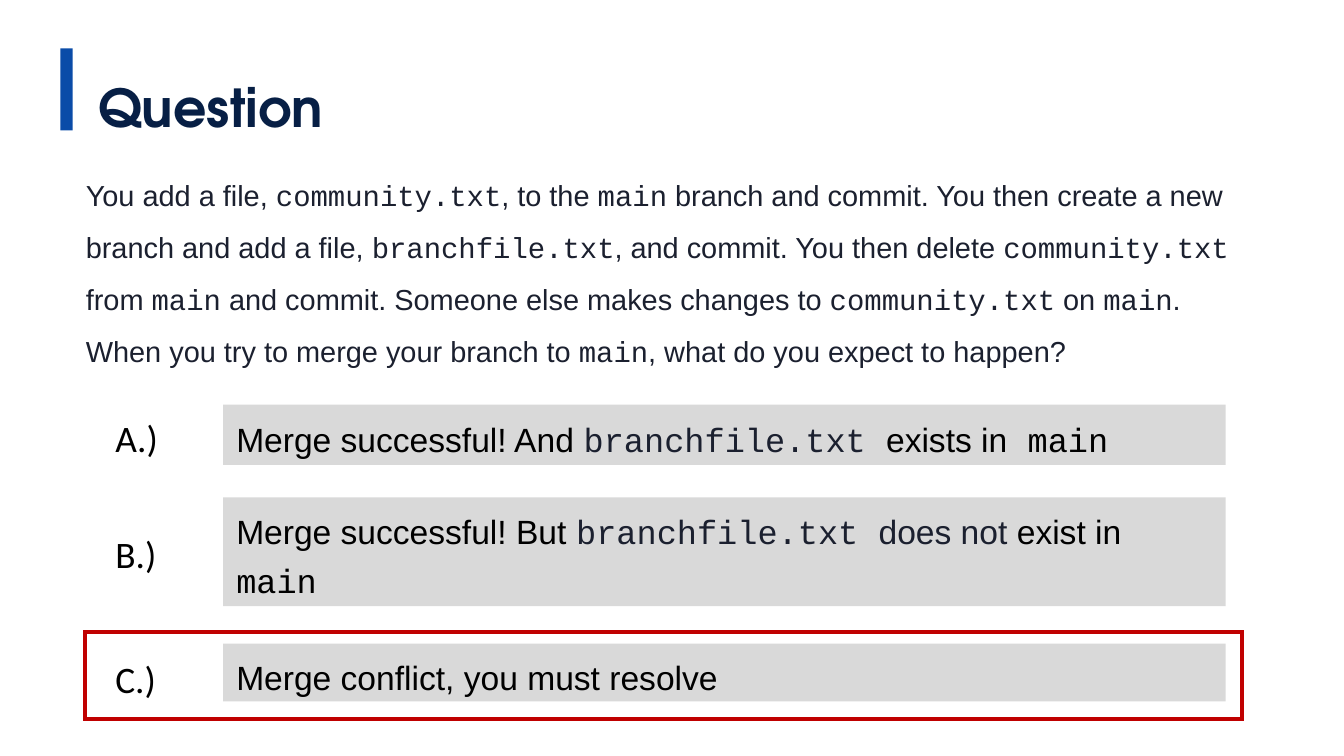
import lxml.etree
import pptx
import pptx.util
import pptx.dml.color
import pptx.enum.shapes
import pptx.enum.text
import pptx.oxml.ns

Inches = pptx.util.Inches
RGBColor = pptx.dml.color.RGBColor
Anchor = pptx.enum.text.MSO_ANCHOR

BLUE = RGBColor(0x0A, 0x4C, 0xA8)
NAVY = RGBColor(0x07, 0x1F, 0x45)
INK = RGBColor(0x1B, 0x20, 0x2F)
BLACK = RGBColor(0x00, 0x00, 0x00)
WHITE = RGBColor(0xFF, 0xFF, 0xFF)
GREY = RGBColor(0xD9, 0xD9, 0xD9)
RED = RGBColor(0xC0, 0x00, 0x00)

SANS = "Arial"
CODE = "Courier New"


def write_text(box, spans, size, spacing, anchor=Anchor.MIDDLE, bold=False):
    """Fill the box with one left-aligned paragraph of (text, font, colour) spans."""
    frame = box.text_frame
    frame.word_wrap = True
    frame.auto_size = pptx.enum.text.MSO_AUTO_SIZE.SHAPE_TO_FIT_TEXT
    frame.vertical_anchor = anchor
    para = frame.paragraphs[0]
    para.alignment = pptx.enum.text.PP_ALIGN.LEFT
    para.line_spacing = spacing
    for text, font, colour in spans:
        span = para.add_run()
        span.text = text
        span.font.name = font
        span.font.size = pptx.util.Pt(size)
        span.font.bold = bold
        span.font.color.rgb = colour


def add_rectangle(page, left, top, width, height, fill=None, line=None):
    box = page.shapes.add_shape(
        pptx.enum.shapes.MSO_SHAPE.RECTANGLE,
        Inches(left), Inches(top), Inches(width), Inches(height))
    box.shadow.inherit = False
    if fill is None:
        box.fill.background()
    else:
        box.fill.solid()
        box.fill.fore_color.rgb = fill
    if line is None:
        box.line.fill.background()
    else:
        box.line.color.rgb = line
        box.line.width = pptx.util.Pt(2.25)
        outline = box.element.spPr.find(pptx.oxml.ns.qn("a:ln"))
        lxml.etree.SubElement(outline, pptx.oxml.ns.qn("a:miter"), lim="800000")
    return box


deck = pptx.Presentation()
deck.slide_width = Inches(10)
deck.slide_height = Inches(10) * 9 // 16
page = deck.slides.add_slide(deck.slide_layouts[5])

# Title with its accent bar
add_rectangle(page, 0.45, 0.36, 0.09, 0.61, fill=BLUE)
title = page.shapes.title
title.left, title.top = Inches(0.63), Inches(0.18)
title.width, title.height = Inches(7.4), Inches(0.79)
write_text(title, [("Question", "TeX Gyre Adventor", NAVY)], 28, 1.7,
           anchor=Anchor.TOP, bold=True)

# Frame around the correct answer
add_rectangle(page, 0.63, 4.7, 8.61, 0.65, line=RED)

# Answers: letter, letter top, answer top, answer height, spans
answers = [
    ("A.)", 2.99, 3.01, 0.45, [
        ("Merge successful! And ", SANS, BLACK),
        ("branchfile.txt ", CODE, INK),
        ("exists in", SANS, BLACK),
        (" main", CODE, BLACK)]),
    ("B.)", 3.85, 3.7, 0.81, [
        ("Merge successful! But ", SANS, BLACK),
        ("branchfile.txt ", CODE, INK),
        ("does not ", SANS, INK),
        ("exist in", SANS, BLACK),
        (" main", CODE, BLACK)]),
    ("C.)", 4.78, 4.79, 0.43, [
        ("Merge conflict, you must resolve", SANS, BLACK)]),
]
for letter, letter_top, answer_top, answer_height, spans in answers:
    answer_box = add_rectangle(page, 1.66, answer_top, 7.46, answer_height, fill=GREY)
    write_text(answer_box, spans, 18, 1.2)
    letter_box = add_rectangle(page, 0.76, letter_top, 0.9, 0.47, fill=WHITE)
    write_text(letter_box, [(letter, "Calibri", BLACK)], 20, 1.2)

# Question: file and branch names stand between backticks
question = (
    "You add a file, `community.txt`, to the `main` branch and commit. "
    "You then create a new branch and add a file, `branchfile.txt`, and commit. "
    "You then delete `community.txt` from `main` and commit. "
    "Someone else makes changes to `community.txt` on `main`. "
    "When you try to merge your branch to `main`, what do you expect to happen?")
question_box = page.shapes.add_textbox(
    Inches(0.54), Inches(1.14), Inches(8.71), Inches(1.63))
question_spans = [(text, CODE if index % 2 else SANS, INK)
                  for index, text in enumerate(question.split("`"))]
write_text(question_box, question_spans, 15.5, 1.5, anchor=Anchor.TOP)

deck.save("out.pptx")
